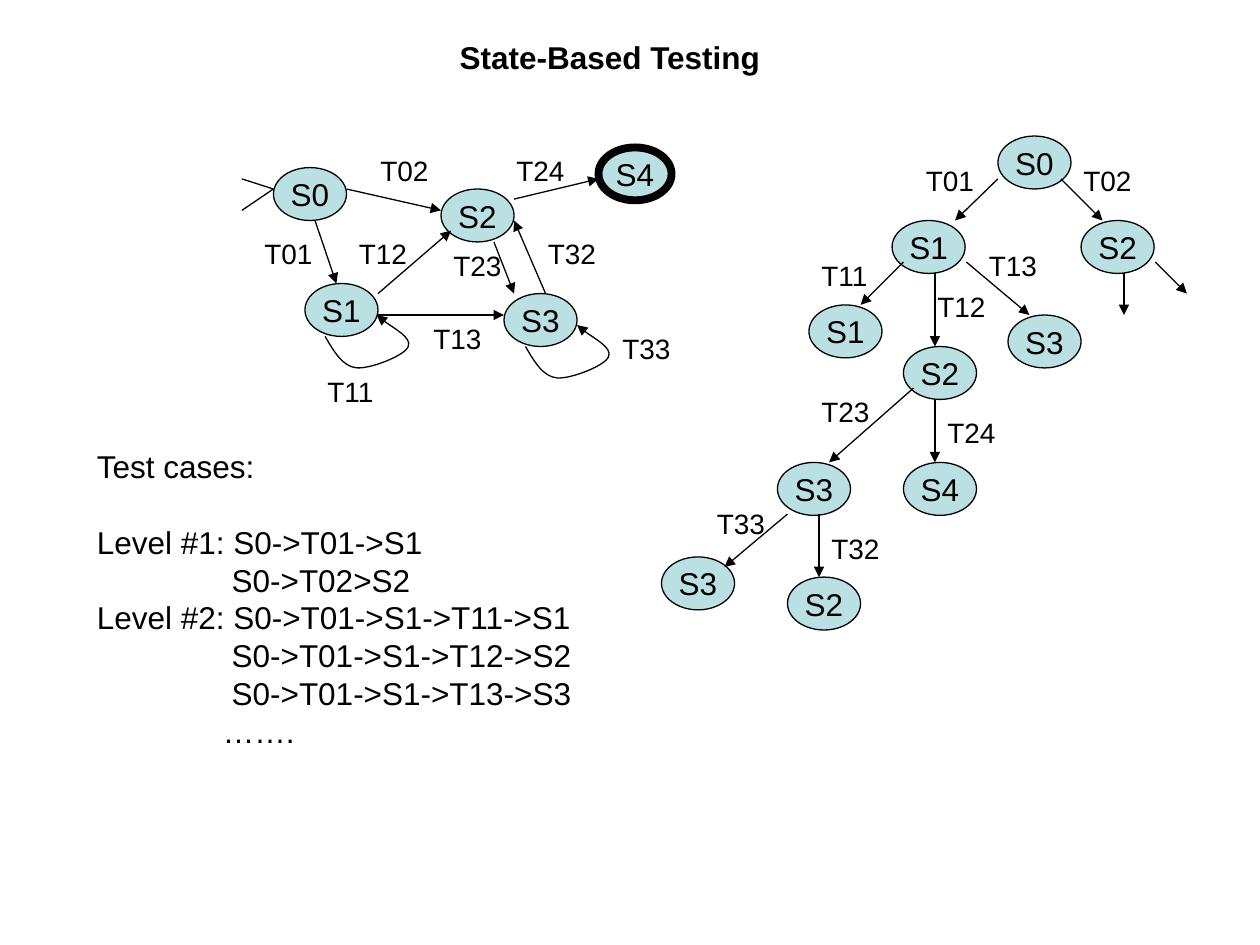
from typing import NamedTuple

from lxml import etree
from pptx import Presentation
from pptx.dml.color import RGBColor
from pptx.enum.shapes import MSO_CONNECTOR, MSO_SHAPE
from pptx.enum.text import MSO_ANCHOR, MSO_AUTO_SIZE, PP_ALIGN
from pptx.oxml.ns import qn
from pptx.util import Inches, Pt

OVAL = MSO_SHAPE.OVAL
STRAIGHT = MSO_CONNECTOR.STRAIGHT
MIDDLE = MSO_ANCHOR.MIDDLE
FIT = MSO_AUTO_SIZE.SHAPE_TO_FIT_TEXT
CENTER = PP_ALIGN.CENTER

FONT = "Arial"
COLORS = {"ink": "000000", "state": "BBE0E3"}
THIN, THICK = 0.75, 4.5


class State(NamedTuple):
    name: str
    x: float
    y: float
    border: float = THIN


class Edge(NamedTuple):
    x1: float
    y1: float
    x2: float
    y2: float
    arrow: bool = True


class Label(NamedTuple):
    text: str
    x: float
    y: float


class Case(NamedTuple):
    text: str
    indent: float = 0
    gap: float = 0


GRAPH_STATES = [
    State("S0", 2.17, 1.33), State("S1", 2.42, 2.25), State("S2", 3.5, 1.5),
    State("S4", 4.75, 1.17, THICK), State("S3", 4, 2.33),
]
GRAPH_EDGES = [
    Edge(1.92, 1.42, 2.17, 1.5, False), Edge(1.92, 1.67, 2.17, 1.5, False),
    Edge(2.75, 1.5, 3.5, 1.67), Edge(3.92, 1.92, 4.08, 2.33),
    Edge(2.5, 1.75, 2.67, 2.25), Edge(3, 2.5, 4, 2.5),
    Edge(3, 2.33, 3.58, 1.83), Edge(4.08, 1.58, 4.75, 1.42),
    Edge(4.33, 2.33, 4.08, 1.75),
]
GRAPH_LABELS = [
    Label("T02", 2.92, 1.17), Label("T01", 2, 1.83), Label("T24", 4, 1.17),
    Label("T32", 4.25, 1.83), Label("T12", 2.75, 1.83),
    Label("T13", 3.34, 2.5), Label("T33", 4.84, 2.58),
    Label("T23", 3.5, 1.92), Label("T11", 2.5, 2.92),
]
TREE_STATES = [
    State("S0", 7.92, 1.08), State("S1", 7.08, 1.75), State("S2", 8.58, 1.75),
    State("S2", 7.17, 2.75), State("S1", 6.42, 2.42), State("S3", 8, 2.5),
    State("S4", 7.17, 3.67), State("S3", 6.17, 3.67),
    State("S2", 6.25, 4.58), State("S3", 5.25, 4.42),
]
TREE_EDGES = [
    Edge(7.92, 1.42, 7.58, 1.75), Edge(8.42, 1.42, 8.75, 1.75),
    Edge(7.17, 2.08, 6.83, 2.42), Edge(7.42, 2.17, 7.42, 2.75),
    Edge(7.67, 2.08, 8.17, 2.5), Edge(9.17, 2.08, 9.42, 2.33),
    Edge(8.92, 2.17, 8.92, 2.5), Edge(7.42, 3.17, 7.42, 3.67),
    Edge(7.25, 3.08, 6.58, 3.67), Edge(6.25, 4.08, 5.75, 4.5),
    Edge(6.5, 4.08, 6.5, 4.58),
]
TREE_LABELS = [
    Label("T01", 7.25, 1.25), Label("T02", 8.5, 1.25), Label("T11", 6.42, 2),
    Label("T12", 7.34, 2.25), Label("T13", 7.75, 1.92),
    Label("T23", 6.42, 3.08), Label("T24", 7.42, 3.25),
    Label("T33", 5.59, 3.97), Label("T32", 6.5, 4.17),
]
# Start point, then two handles and an end point for each curve.
LOOP = [(0, 0.17), (0.07, 0.29), (0.14, 0.41), (0.25, 0.42),
        (0.36, 0.43), (0.64, 0.32), (0.66, 0.25), (0.69, 0.18),
        (0.45, 0.05), (0.41, 0)]
LOOP_SPOTS = [(4.17, 2.58), (2.58, 2.5)]
CASES = [
    Case("Test cases:"),
    Case("Level #1: S0->T01->S1", gap=21.6),
    Case("S0->T02>S2", 1.07),
    Case("Level #2: S0->T01->S1->T11->S1"),
    Case("S0->T01->S1->T12->S2", 1.07),
    Case("S0->T01->S1->T13->S3", 1.07),
    Case("…….", 1),
]


def color(name: str) -> RGBColor:
    return RGBColor.from_string(COLORS[name])


def style(para, size: float, bold: bool = False) -> None:
    for run in para.runs:
        run.font.name, run.font.size, run.font.bold = FONT, Pt(size), bold
        run.font.color.rgb = color("ink")


def ink(shape, width: float = THIN, arrow: bool = False) -> None:
    """Set the outline and, if asked, an arrowhead at its end."""
    shape.line.color.rgb = color("ink")
    shape.line.width = Pt(width)
    if arrow:
        etree.SubElement(shape.line._get_or_add_ln(), qn("a:tailEnd"),
                         type="triangle")


def draw_state(slide, state: State) -> None:
    oval = slide.shapes.add_shape(OVAL, Inches(state.x), Inches(state.y),
                                  Inches(0.58), Inches(0.42))
    oval.shadow.inherit = False
    oval.fill.solid()
    oval.fill.fore_color.rgb = color("state")
    ink(oval, state.border)
    frame = oval.text_frame
    frame.text = state.name
    frame.word_wrap = False
    frame.vertical_anchor = MIDDLE
    frame.paragraphs[0].alignment = CENTER
    style(frame.paragraphs[0], 18)


def draw_edge(slide, edge: Edge) -> None:
    ends = [Inches(v) for v in edge[:4]]
    line = slide.shapes.add_connector(STRAIGHT, *ends)
    ink(line, arrow=edge.arrow)
    etree.SubElement(line._element.spPr, qn("a:effectLst"))


def draw_loop(slide, x: float, y: float) -> None:
    """Draw a curved arrow by joining each three points into one curve."""
    spots = [(Inches(x + dx), Inches(y + dy)) for dx, dy in LOOP]
    pen = slide.shapes.build_freeform(*spots[0])
    pen.add_line_segments(spots[1:], close=False)
    loop = pen.convert_to_shape()
    loop.shadow.inherit = False
    loop.fill.background()
    ink(loop, arrow=True)
    trace = next(loop._element.iter(qn("a:path")))
    steps = trace.findall(qn("a:lnTo"))
    for i in range(0, len(steps), 3):
        curve = etree.SubElement(trace, qn("a:cubicBezTo"))
        for step in steps[i:i + 3]:
            curve.append(step[0])
            trace.remove(step)


def add_box(slide, x: float, y: float, wide: float, high: float):
    box = slide.shapes.add_textbox(Inches(x), Inches(y),
                                   Inches(wide), Inches(high))
    frame = box.text_frame
    frame.word_wrap = False
    frame.auto_size = FIT
    return frame


def draw_label(slide, label: Label) -> None:
    frame = add_box(slide, label.x, label.y, 0.58, 0.37)
    frame.text = label.text
    style(frame.paragraphs[0], 16)


def draw_cases(slide) -> None:
    frame = add_box(slide, 0.67, 3.5, 3.98, 2.5)
    frame.text = "\n".join(case.text for case in CASES)
    for para, case in zip(frame.paragraphs, CASES):
        style(para, 18)
        para.space_before = Pt(case.gap)
        para._p.get_or_add_pPr().set("marL", str(Inches(case.indent)))


def main() -> None:
    deck = Presentation()
    deck.slide_width, deck.slide_height = Inches(10), Inches(7.5)
    slide = deck.slides.add_slide(deck.slide_layouts[6])
    title = add_box(slide, 3.55, 0.25, 2.6, 0.4)
    title.text = "State-Based Testing"
    style(title.paragraphs[0], 18, bold=True)
    for state in GRAPH_STATES + TREE_STATES:
        draw_state(slide, state)
    for edge in GRAPH_EDGES + TREE_EDGES:
        draw_edge(slide, edge)
    for x, y in LOOP_SPOTS:
        draw_loop(slide, x, y)
    for label in GRAPH_LABELS + TREE_LABELS:
        draw_label(slide, label)
    draw_cases(slide)
    deck.save("out.pptx")


if __name__ == "__main__":
    main()
